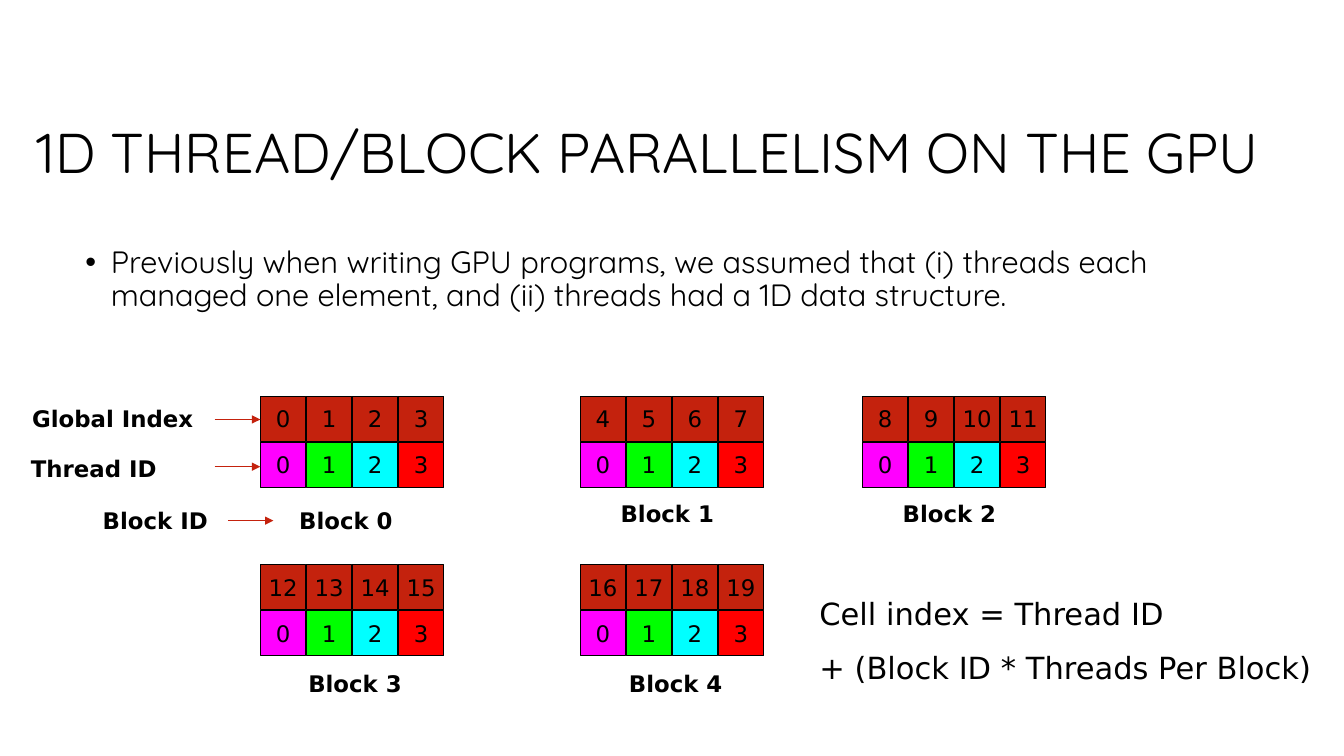
"""Builds the slide on 1D thread and block parallelism on the GPU."""
from lxml import etree
from pptx import Presentation
from pptx.dml.color import RGBColor
from pptx.enum.shapes import MSO_CONNECTOR, MSO_SHAPE
from pptx.enum.text import MSO_ANCHOR, MSO_AUTO_SIZE, PP_ALIGN
from pptx.oxml.ns import qn
from pptx.util import Cm, Pt

BLACK = RGBColor(0x00, 0x00, 0x00)
INDEX_RED = RGBColor(0xC4, 0x22, 0x0D)
THREAD_COLORS = [
    RGBColor(0xFF, 0x00, 0xFF),
    RGBColor(0x00, 0xFF, 0x00),
    RGBColor(0x00, 0xFF, 0xFF),
    RGBColor(0xFF, 0x00, 0x00),
]
CELL_SIZE = 1.15
CELL_STEP = 1.16


def write(shape, lines, font="DejaVu Sans", size=16.3, bold=False, align=PP_ALIGN.LEFT,
          anchor=MSO_ANCHOR.TOP, wrap=True, line_spacing=1.0, gap=0):
    """Fill a shape with formatted paragraphs, with a gap between them."""
    frame = shape.text_frame
    frame.auto_size = MSO_AUTO_SIZE.NONE
    frame.word_wrap = wrap
    frame.vertical_anchor = anchor
    for number, line in enumerate(lines):
        para = frame.add_paragraph() if number else frame.paragraphs[0]
        para.alignment = align
        para.line_spacing = line_spacing
        para.space_before = Pt(gap if number else 0)
        span = para.add_run()
        span.text = line
        span.font.name = font
        span.font.size = Pt(size)
        span.font.bold = bold
        span.font.color.rgb = BLACK


deck = Presentation()
deck.slide_width, deck.slide_height = Cm(33.87), Cm(19.05)
page = deck.slides.add_slide(deck.slide_layouts[1])

title = page.shapes.title
title.left, title.top, title.width, title.height = Cm(0.36), Cm(2.13), Cm(31.62), Cm(3.58)
write(title, ["1D THREAD/BLOCK PARALLELISM ON THE GPU"], font="Quicksand", size=40,
      align=PP_ALIGN.RIGHT, anchor=MSO_ANCHOR.MIDDLE, line_spacing=0.9)

body = page.placeholders[1]
body.left, body.top, body.width, body.height = Cm(1.9), Cm(6.1), Cm(30.05), Cm(11.18)
write(body, ["Previously when writing GPU programs, we assumed that (i) threads each "
             "managed one element, and (ii) threads had a 1D data structure."],
      font="Quicksand", size=22, line_spacing=0.9)
bullet_format = body.text_frame.paragraphs[0]._p.get_or_add_pPr()
bullet_format.set("marL", str(Cm(0.64)))
bullet_format.set("indent", str(-Cm(0.64)))
etree.SubElement(bullet_format, qn("a:buFont")).set("typeface", "Arial")
etree.SubElement(bullet_format, qn("a:buChar")).set("char", "•")

block_origins = [(6.56, 9.98), (14.62, 9.98), (21.73, 9.98), (6.56, 14.22), (14.62, 14.22)]
for block, (left, top) in enumerate(block_origins):
    for thread, thread_color in enumerate(THREAD_COLORS):
        global_index = block * len(THREAD_COLORS) + thread
        cell_rows = [(global_index, INDEX_RED), (thread, thread_color)]
        for row, (value, color) in enumerate(cell_rows):
            cell = page.shapes.add_shape(
                MSO_SHAPE.RECTANGLE, Cm(left + thread * CELL_STEP), Cm(top + row * CELL_STEP),
                Cm(CELL_SIZE), Cm(CELL_SIZE))
            cell.shadow.inherit = False
            cell.fill.solid()
            cell.fill.fore_color.rgb = color
            cell.line.color.rgb = BLACK
            cell.line.width = Pt(0.75)
            write(cell, [str(value)], align=PP_ALIGN.CENTER, anchor=MSO_ANCHOR.MIDDLE, wrap=False)

labels = [
    ("Block 0", 7.29, 12.65),
    ("Block 1", 15.39, 12.47),
    ("Block 2", 22.5, 12.47),
    ("Block 3", 7.52, 16.74),
    ("Block 4", 15.6, 16.74),
    ("Global Index", 0.56, 10.08),
    ("Thread ID", 0.53, 11.33),
    ("Block ID", 2.34, 12.65),
]
for text, left, top in labels:
    label = page.shapes.add_textbox(Cm(left), Cm(top), Cm(4.85), Cm(0.97))
    write(label, [text], bold=True)

formula = page.shapes.add_textbox(Cm(20.4), Cm(14.88), Cm(13.82), Cm(2.6))
write(formula, ["Cell index = Thread ID", "+ (Block ID * Threads Per Block)"], size=21.8, gap=11.8)

for left, top in [(5.41, 10.57), (5.41, 11.76), (5.74, 13.12)]:
    arrow = page.shapes.add_connector(
        MSO_CONNECTOR.STRAIGHT, Cm(left), Cm(top), Cm(left + CELL_SIZE), Cm(top))
    arrow.line.color.rgb = INDEX_RED
    arrow.line.width = Pt(0.75)
    etree.SubElement(arrow.line._get_or_add_ln(), qn("a:tailEnd")).set("type", "triangle")
    etree.SubElement(arrow._element.spPr, qn("a:effectLst"))

deck.save("out.pptx")
